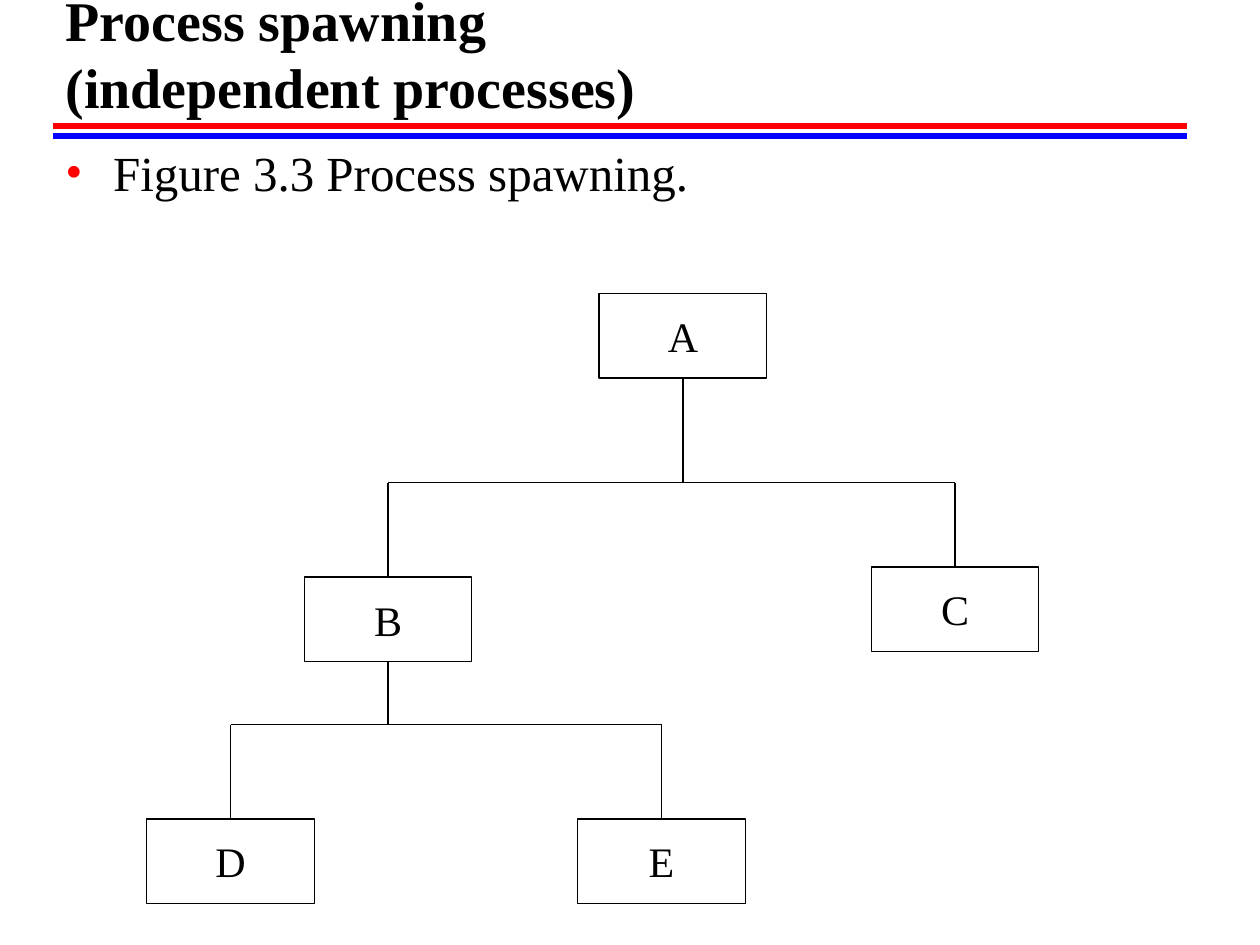
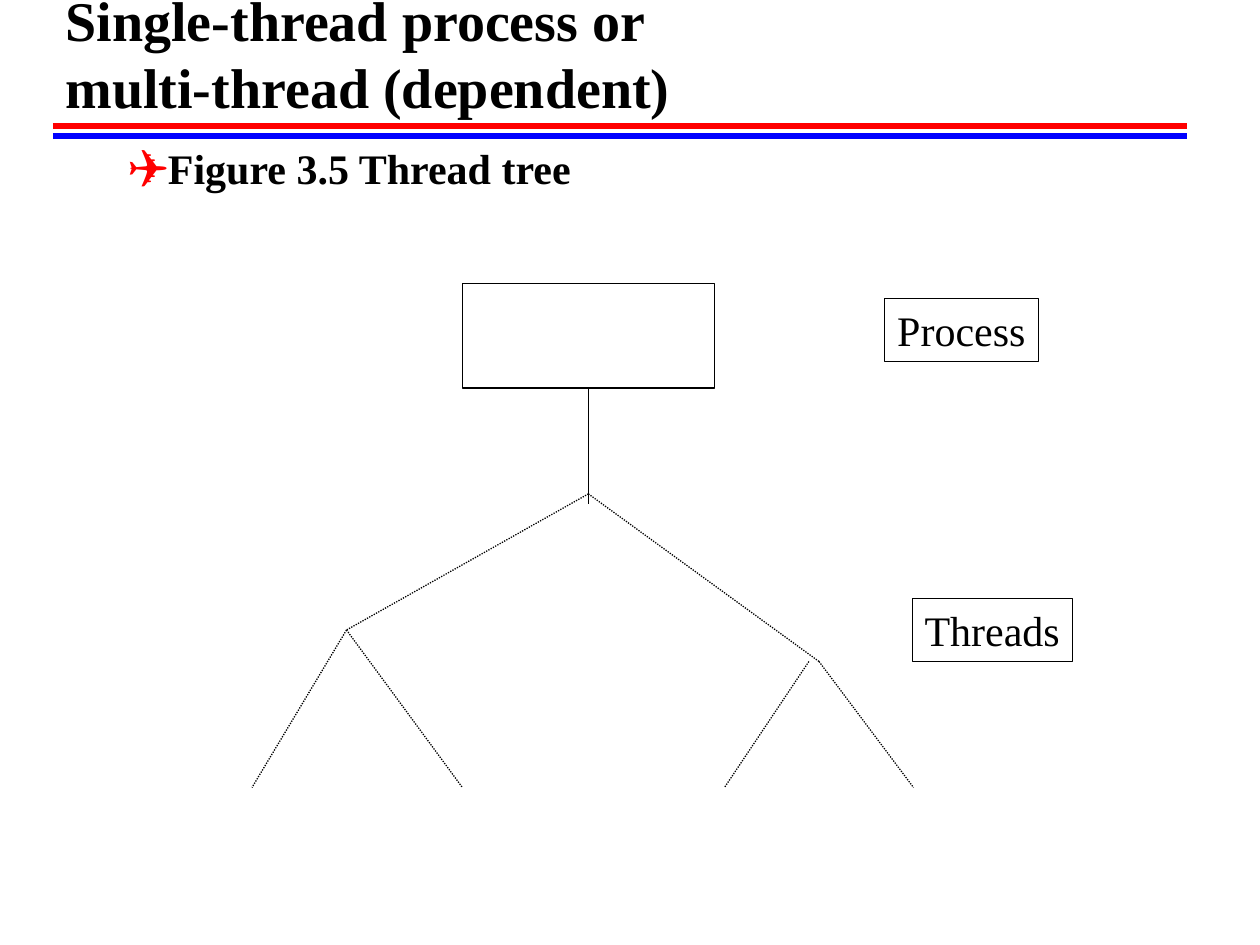
import lxml.etree
import pptx
import pptx.dml.color
import pptx.enum.dml
import pptx.enum.shapes
import pptx.enum.text
import pptx.oxml.ns
import pptx.util

Inches = pptx.util.Inches
Pt = pptx.util.Pt
FONT = "Times New Roman"
COLORS = {"ink": "000000", "paper": "FFFFFF", "red": "FF0000", "blue": "0000FF"}
DOTTED = pptx.enum.dml.MSO_LINE.ROUND_DOT
CONTENT_BOX = (0.42, 1.08, 9.03, 6.17)


def color(name):
    return pptx.dml.color.RGBColor.from_string(COLORS[name])


def add_run(paragraph, text, size, bold=False):
    run = paragraph.add_run()
    run.text = text
    run.font.name = FONT
    run.font.size = Pt(size)
    run.font.bold = bold
    run.font.color.rgb = color("ink")


def add_line(slide, start, end, line_color="ink", width=0.75, dash=None):
    connector = slide.shapes.add_connector(
        pptx.enum.shapes.MSO_CONNECTOR.STRAIGHT,
        *(Inches(value) for value in (*start, *end)))
    connector.line.color.rgb = color(line_color)
    connector.line.width = Pt(width)
    if dash is not None:
        connector.line.dash_style = dash
    properties = connector._element.spPr
    lxml.etree.SubElement(properties, pptx.oxml.ns.qn("a:effectLst"))


def add_box(slide, left, top, width, height, text="", filled=False):
    shape = slide.shapes.add_shape(
        pptx.enum.shapes.MSO_SHAPE.RECTANGLE,
        *(Inches(value) for value in (left, top, width, height)))
    shape.shadow.inherit = False
    if filled:
        shape.fill.solid()
        shape.fill.fore_color.rgb = color("paper")
    else:
        shape.fill.background()
    shape.line.color.rgb = color("ink")
    shape.line.width = Pt(0.75)
    if text:
        frame = shape.text_frame
        frame.word_wrap = False
        frame.vertical_anchor = pptx.enum.text.MSO_ANCHOR.MIDDLE
        frame.paragraphs[0].alignment = pptx.enum.text.PP_ALIGN.CENTER
        add_run(frame.paragraphs[0], text, 24)


# Title above a double rule, shared by both slides
def add_titled_slide(presentation, title_lines):
    slide = presentation.slides.add_slide(presentation.slide_layouts[5])
    for y, rule_color in ((1.08, "blue"), (1, "red")):
        add_line(slide, (0.42, y), (9.42, y), rule_color, 3)
    title = slide.shapes.title
    title.left, title.top = Inches(0.42), Inches(0.25)
    title.width, title.height = Inches(9), Inches(0.75)
    frame = title.text_frame
    frame.auto_size = pptx.enum.text.MSO_AUTO_SIZE.NONE
    frame.vertical_anchor = pptx.enum.text.MSO_ANCHOR.BOTTOM
    paragraph = frame.paragraphs[0]
    paragraph.alignment = pptx.enum.text.PP_ALIGN.LEFT
    for index, text in enumerate(title_lines):
        if index:
            paragraph.add_line_break()
        add_run(paragraph, text, 32, bold=True)
    return slide


# Bulleted figure caption
def add_caption(slide, box, text, bullet, size, indent, hanging, space, bold=False):
    shape = slide.shapes.add_textbox(*(Inches(value) for value in box))
    shape.text_frame.word_wrap = True
    paragraph = shape.text_frame.paragraphs[0]
    paragraph.space_before = Pt(space)
    add_run(paragraph, text, size, bold)
    properties = paragraph._p.get_or_add_pPr()
    properties.set("marL", str(Inches(indent)))
    properties.set("indent", str(-Inches(hanging)))
    qn = pptx.oxml.ns.qn
    bullet_color = lxml.etree.SubElement(properties, qn("a:buClr"))
    lxml.etree.SubElement(bullet_color, qn("a:srgbClr"), val=COLORS["red"])
    lxml.etree.SubElement(properties, qn("a:buFont"), typeface=FONT)
    lxml.etree.SubElement(properties, qn("a:buChar"), char=bullet)


# Tree of processes: every parent drops to a bus that feeds its children
def add_process_tree(slide, box):
    left, top = box[:2]
    node_width, node_height = 1.33, 0.67
    nodes = {"A": (5, 1.25), "B": (2.66, 3.5), "C": (7.16, 3.42),
             "D": (1.41, 5.42), "E": (4.83, 5.42)}
    nodes = {name: (left + x, top + y) for name, (x, y) in nodes.items()}
    for name, (center, node_top) in nodes.items():
        add_box(slide, center - node_width / 2, node_top,
                node_width, node_height, name, filled=True)
    for parent, children, bus in (("A", "BC", 2.75), ("B", "DE", 4.67)):
        center, node_top = nodes[parent]
        bus_y = top + bus
        add_line(slide, (center, node_top + node_height), (center, bus_y))
        add_line(slide, *((nodes[child][0], bus_y) for child in children))
        for child in children:
            child_center, child_top = nodes[child]
            add_line(slide, (child_center, bus_y), (child_center, child_top))


# Process box with dotted threads forking below it
def add_thread_tree(slide, box):
    left, top = box[:2]

    def place(x, y):
        return left + x, top + y

    add_box(slide, *place(3.25, 1.17), 2, 0.83)
    add_line(slide, place(4.25, 2), place(4.25, 2.92))
    root, left_fork, right_fork = (4.25, 2.84), (2.33, 3.92), (6.08, 4.17)
    threads = ((root, left_fork), (root, right_fork),
               (left_fork, (1.58, 5.17)), (left_fork, (3.25, 5.17)),
               ((6, 4.17), (5.33, 5.17)), (right_fork, (6.83, 5.17)))
    for start, end in threads:
        add_line(slide, place(*start), place(*end), dash=DOTTED)
    for x, y, width, text in ((6.6, 1.29, 1.22, "Process"),
                              (6.82, 3.67, 1.27, "Threads")):
        add_box(slide, *place(x, y), width, 0.5, text)


def main():
    presentation = pptx.Presentation()
    presentation.slide_width = Inches(10)
    presentation.slide_height = Inches(7.5)

    slide = add_titled_slide(
        presentation, ("Process spawning ", "(independent processes)"))
    add_caption(slide, CONTENT_BOX, "Figure 3.3 Process spawning.", "•",
                28, indent=0.38, hanging=0.38, space=7)
    add_process_tree(slide, CONTENT_BOX)

    slide = add_titled_slide(
        presentation, ("Single-thread process or ", "multi-thread (dependent)"))
    add_caption(slide, CONTENT_BOX, "Figure 3.5 Thread tree", "✈",
                24, indent=0.81, hanging=0.31, space=6, bold=True)
    add_thread_tree(slide, CONTENT_BOX)

    presentation.save("out.pptx")


if __name__ == "__main__":
    main()
